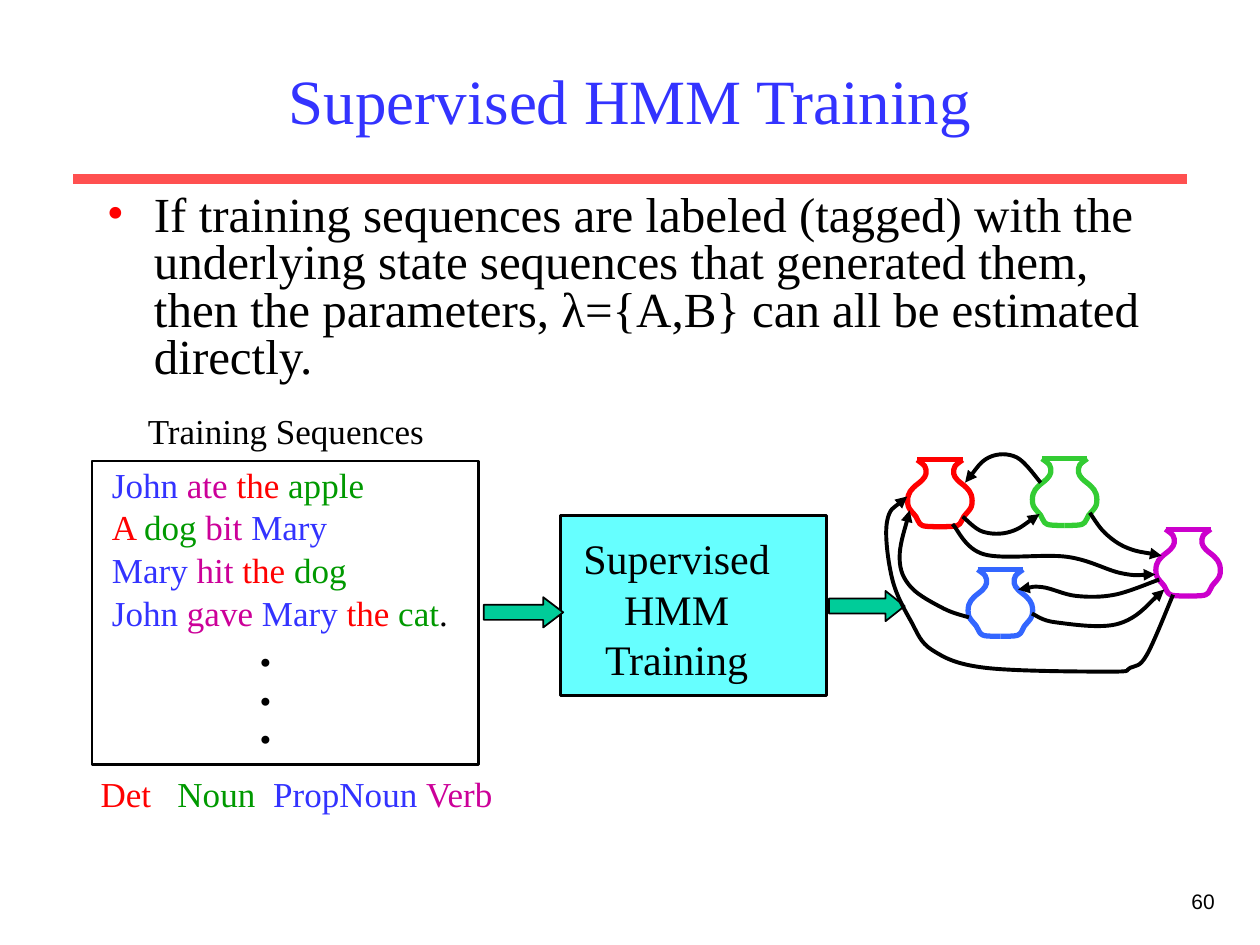
from lxml import etree
from pptx import Presentation
from pptx.dml.color import RGBColor
from pptx.enum.shapes import MSO_CONNECTOR, MSO_SHAPE
from pptx.enum.text import MSO_ANCHOR, PP_ALIGN
from pptx.oxml.ns import qn
from pptx.util import Cm, Pt

LEFT, CENTER, RIGHT = PP_ALIGN.LEFT, PP_ALIGN.CENTER, PP_ALIGN.RIGHT
TOP, MIDDLE = MSO_ANCHOR.TOP, MSO_ANCHOR.MIDDLE
STRAIGHT = MSO_CONNECTOR.STRAIGHT
RECTANGLE, RIGHT_ARROW = MSO_SHAPE.RECTANGLE, MSO_SHAPE.RIGHT_ARROW

THEME = {
    "serif": "Times New Roman", "sans": "Arial",
    "title": 36, "body": 28, "process": 24, "label": 20, "number": 12,
    "black": "000000", "heading": "3333FF", "bullet": "FF0000", "rule": "FF5050",
    "process fill": "66FFFF", "arrow fill": "00CC99",
    "Det": "FF0000", "Noun": "009900", "PropNoun": "3333FF", "Verb": "CC0099",
    "red pot": "FF0000", "green pot": "33CC33", "blue pot": "3366FF", "violet pot": "CC00CC",
}

TITLE = "Supervised HMM Training"
BODY = ("If training sequences are labeled (tagged) with the underlying state sequences "
        "that generated them, then the parameters, λ={A,B} can all be estimated directly.")
SENTENCES = [
    [("John ", "PropNoun"), ("ate ", "Verb"), ("the ", "Det"), ("apple", "Noun")],
    [("A ", "Det"), ("dog ", "Noun"), ("bit ", "Verb"), ("Mary", "PropNoun")],
    [("Mary", "PropNoun"), (" hit ", "Verb"), ("the ", "Det"), ("dog", "Noun")],
    [("John ", "PropNoun"), ("gave ", "Verb"), ("Mary ", "PropNoun"), ("the ", "Det"),
     ("cat", "Noun"), (".", "black")],
]
LEGEND = [("Det\t", "Det"), ("Noun\t", "Noun"), ("PropNoun ", "PropNoun"), ("Verb", "Verb")]
LEGEND_TABS = [0.61, 1.37]
PROCESS = ["Supervised", "HMM", "Training"]

POTS = [("blue pot", 7.68, 4.52), ("green pot", 8.19, 3.64),
        ("red pot", 7.2, 3.65), ("violet pot", 9.17, 4.2)]
POT_WIDTH = 0.52
POT_SIDE = [(0.08, 0), (0.14, 0.05), (0.15, 0.11), (0.12, 0.16), (0.05, 0.22),
            (0.01, 0.28), (0.01, 0.37), (0.07, 0.45), (0.12, 0.52), (0.26, 0.53)]
TRANSITIONS = [
    [(7.64, 4.1), (7.8, 4.22), (8.02, 4.22), (8.25, 4.08)],
    [(8.65, 4.07), (8.77, 4.23), (8.95, 4.35), (9.22, 4.41)],
    [(8.26, 3.83), (8.07, 3.63), (7.85, 3.63), (7.66, 3.83)],
    [(7.56, 4.16), (7.81, 4.4), (8.47, 4.42), (8.9, 4.55), (9.17, 4.56)],
    [(8.19, 4.87), (8.38, 4.94), (8.88, 4.95), (9.24, 4.68)],
    [(7.69, 4.9), (7.49, 4.83), (7.23, 4.66), (7.14, 4.43), (7.22, 4.05)],
    [(9.31, 4.72), (9.1, 5.2), (8.97, 5.3), (8.81, 5.33), (7.82, 5.3), (7.4, 5.16),
     (7.23, 4.93), (7.08, 4.59), (7.04, 4.14), (7.2, 3.94)],
    [(9.2, 4.6), (8.85, 4.72), (8.54, 4.73), (8.27, 4.66), (8.08, 4.68)],
]
BLOCK_ARROWS = [((3.84, 4.74, 0.63, 0.24), 0.66), ((6.58, 4.69, 0.6, 0.24), 0.63)]


def lengths(*inches):
    return [Cm(value * 2.54) for value in inches]


def color(name):
    return RGBColor.from_string(THEME[name])


def outline(line, name, width):
    line.color.rgb = color(name)
    line.width = Pt(width)


def fill_text(box, lines, size, face="serif", anchor=TOP, wrap=True, bold=False, **formats):
    frame = box.text_frame
    frame.word_wrap = wrap
    frame.vertical_anchor = anchor
    for index, spans in enumerate(lines):
        para = frame.paragraphs[0] if index == 0 else frame.add_paragraph()
        for name, value in formats.items():
            if index or name != "space_before":
                setattr(para, name, value)
        for words, tone in spans:
            span = para.add_run()
            span.text = words
            span.font.color.rgb = color(tone)
            for name, value in {"name": THEME[face], "size": Pt(THEME[size]), "bold": bold}.items():
                setattr(span.font, name, value)
    return frame


def add_text(page, place, lines, size, **formats):
    return fill_text(page.shapes.add_textbox(*lengths(*place)), lines, size, **formats)


def add_block(page, kind, place, fill, width):
    block = page.shapes.add_shape(kind, *lengths(*place))
    block.shadow.inherit = False
    if fill:
        block.fill.solid()
        block.fill.fore_color.rgb = color(fill)
    else:
        block.fill.background()
    outline(block.line, "black", width)
    return block


def add_line(page, start, end, name, width):
    line = page.shapes.add_connector(STRAIGHT, *lengths(*start, *end))
    outline(line.line, name, width)
    etree.SubElement(line._element.spPr, qn("a:effectLst"))


def control_points(points):
    padded = [points[0], *points, points[-1]]
    result = []
    for before, start, end, after in zip(padded, padded[1:], padded[2:], padded[3:]):
        result.append([b + (c - a) / 6 for a, b, c in zip(before, start, end)])
        result.append([c - (d - b) / 6 for b, c, d in zip(start, end, after)])
        result.append(end)
    return result


def bend(curve):
    straight = list(curve._element.iter(qn("a:lnTo")))
    for first, second, third in zip(straight[::3], straight[1::3], straight[2::3]):
        first.tag = qn("a:cubicBezTo")
        for segment in (second, third):
            first.append(segment[0])
            segment.getparent().remove(segment)


def add_curve(page, points, name, width, arrow=False):
    builder = page.shapes.build_freeform(*lengths(*points[0]))
    builder.add_line_segments([lengths(*point) for point in control_points(points)], close=False)
    curve = builder.convert_to_shape()
    bend(curve)
    curve.shadow.inherit = False
    curve.fill.background()
    outline(curve.line, name, width)
    if arrow:
        etree.SubElement(curve.line._get_or_add_ln(), qn("a:tailEnd"), type="triangle")


def add_bullet(para, indent):
    properties = para._p.get_or_add_pPr()
    properties.set("marL", str(Cm(indent)))
    properties.set("indent", str(-Cm(indent)))
    tone = etree.SubElement(properties, qn("a:buClr"))
    etree.SubElement(tone, qn("a:srgbClr"), val=THEME["bullet"])
    etree.SubElement(properties, qn("a:buFont"), typeface=THEME["serif"])
    etree.SubElement(properties, qn("a:buChar"), char="•")


def add_tabs(para, stops):
    tabs = etree.SubElement(para._p.get_or_add_pPr(), qn("a:tabLst"))
    for stop in lengths(*stops):
        etree.SubElement(tabs, qn("a:tab"), pos=str(stop), algn="l")


def add_pot(page, name, left, top):
    side = [(left + x, top + y) for x, y in POT_SIDE]
    mirrored = [(2 * left + POT_WIDTH - x, y) for x, y in side]
    for points in (side, mirrored):
        add_curve(page, points, name, 3)
    add_line(page, side[0], mirrored[0], name, 3)


def main():
    deck = Presentation()
    deck.slide_width, deck.slide_height = lengths(10, 7.5)
    page = deck.slides.add_slide(deck.slide_layouts[5])

    add_line(page, (0.58, 1.42), (9.42, 1.42), "rule", 6)
    add_text(page, (7.66, 7, 2.08, 0.5), [[("60", "black")]], "number",
             face="sans", alignment=RIGHT)
    title = page.shapes.title
    title.left, title.top, title.width, title.height = lengths(0.75, 0.25, 8.5, 1.08)
    fill_text(title, [[(TITLE, "heading")]], "title", anchor=MIDDLE, alignment=CENTER)
    body = add_text(page, (0.75, 1.5, 8.5, 2.01), [[(BODY, "black")]], "body", line_spacing=0.8)
    add_bullet(body.paragraphs[0], 0.95)

    add_block(page, RECTANGLE, (4.45, 4.09, 2.11, 1.43), "process fill", 1.5)
    add_text(page, (4.53, 4.18, 1.68, 1.3), [[(word, "black")] for word in PROCESS],
             "process", wrap=False, alignment=CENTER)
    for place, head in BLOCK_ARROWS:
        arrow = add_block(page, RIGHT_ARROW, place, "arrow fill", 1)
        arrow.adjustments[1] = head

    for pot in POTS:
        add_pot(page, *pot)
    for points in TRANSITIONS:
        add_curve(page, points, "black", 2.25, arrow=True)

    add_text(page, (0.79, 3.77, 3.05, 2.82), SENTENCES, "label",
             alignment=LEFT, line_spacing=0.5, space_before=Pt(12.5))
    add_text(page, (1.96, 5, 0.29, 1.01), [[(".", "black")]] * 3, "body",
             wrap=False, bold=True, alignment=CENTER, line_spacing=0.65)
    add_block(page, RECTANGLE, (0.73, 3.66, 3.07, 2.41), None, 1.5)
    add_text(page, (1.07, 3.2, 2.4, 0.44), [[("Training Sequences", "black")]], "label",
             wrap=False, alignment=CENTER)
    legend = add_text(page, (0.7, 6.08, 3.41, 0.44), [LEGEND], "label")
    add_tabs(legend.paragraphs[0], LEGEND_TABS)

    deck.save("out.pptx")


if __name__ == "__main__":
    main()
